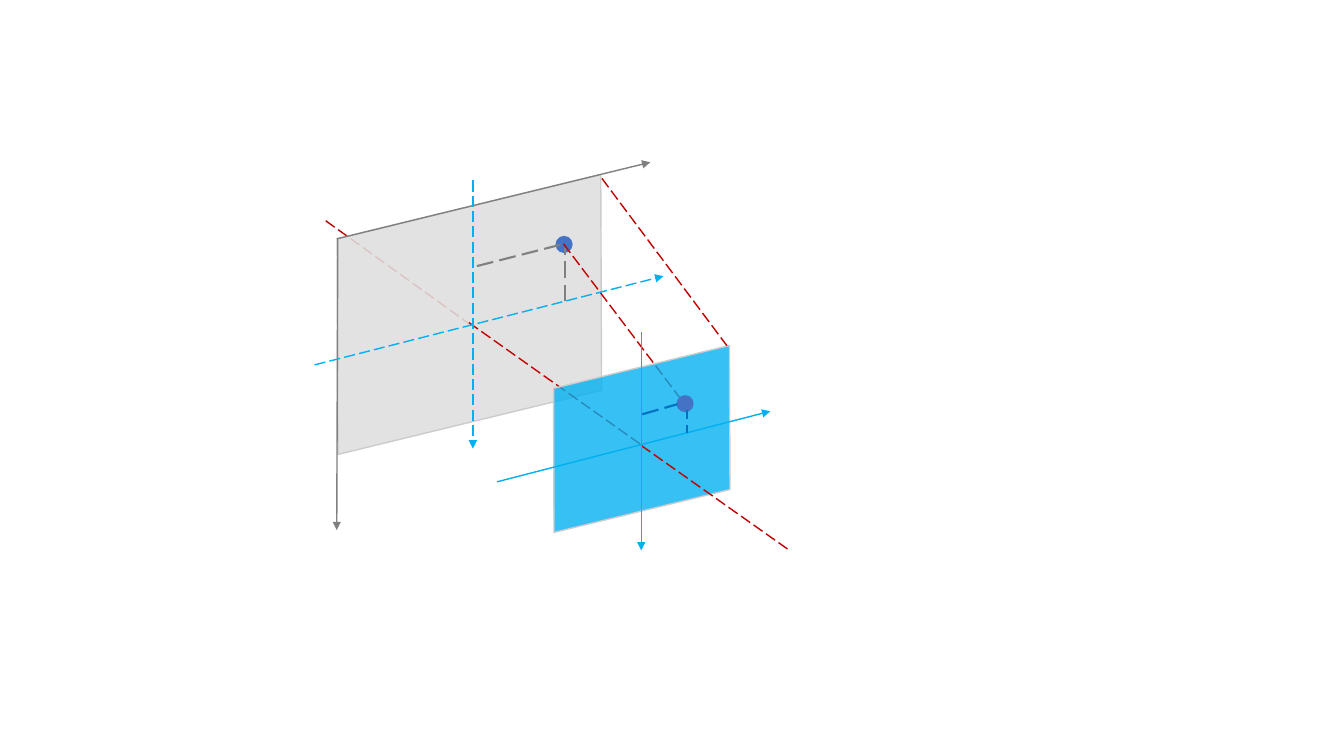
from dataclasses import dataclass

from lxml import etree
from pptx import Presentation
from pptx.dml.color import RGBColor
from pptx.enum.dml import MSO_LINE
from pptx.enum.shapes import MSO_CONNECTOR, MSO_SHAPE
from pptx.oxml.ns import qn
from pptx.util import Inches, Pt

STRAIGHT = MSO_CONNECTOR.STRAIGHT
PARALLELOGRAM, OVAL = MSO_SHAPE.PARALLELOGRAM, MSO_SHAPE.OVAL
LONG_DASH, DASH = MSO_LINE.LONG_DASH, MSO_LINE.DASH

RED = RGBColor(0xC0, 0x00, 0x00)
CYAN = RGBColor(0x00, 0xB0, 0xF0)
BLUE = RGBColor(0x00, 0x70, 0xC0)
GRAY = RGBColor(0x80, 0x80, 0x80)
LIGHT_GRAY = RGBColor(0xDF, 0xDF, 0xDF)
EDGE_GRAY = RGBColor(0xCC, 0xCC, 0xCC)
DOT_BLUE = RGBColor(0x44, 0x72, 0xC4)

PLANE_ROTATION = 166.3
PLANE_SLANT = 0.24  # makes the short sides upright after the rotation
DOT_SIZE = 0.17


@dataclass
class Line:
    start: tuple[float, float]
    end: tuple[float, float]
    color: RGBColor
    width: float = 1
    dash: MSO_LINE | None = None
    arrow: bool = False


@dataclass
class Plane:
    left: float
    top: float
    width: float
    height: float
    color: RGBColor
    opacity: int


@dataclass
class Dot:
    left: float
    top: float


def ray(start: tuple[float, float], end: tuple[float, float]) -> Line:
    return Line(start, end, RED, dash=LONG_DASH)


def axis(start: tuple[float, float], end: tuple[float, float],
         color: RGBColor, dash: MSO_LINE | None = None) -> Line:
    return Line(start, end, color, dash=dash, arrow=True)


def offset(start: tuple[float, float], end: tuple[float, float],
           color: RGBColor, dash: MSO_LINE = LONG_DASH) -> Line:
    """Dashed guide from a coordinate axis to a point."""
    return Line(start, end, color, 1.5, dash)


# Back to front
SCENE: list[Line | Plane | Dot] = [
    ray((3.23, 2.19), (4.65, 3.21)),
    Plane(3.06, 2.08, 3.19, 2.08, LIGHT_GRAY, 88),
    Dot(5.51, 2.34),
    ray((5.59, 2.42), (6.76, 3.97)),
    ray((4.65, 3.2), (6.37, 4.42)),
    Plane(5.3, 3.66, 2.13, 1.39, CYAN, 79),
    ray((6.36, 4.42), (7.83, 5.46)),
    axis((4.93, 4.78), (7.64, 4.08), CYAN),
    axis((6.36, 3.29), (6.36, 5.46), CYAN),
    axis((3.34, 2.37), (6.45, 1.61), GRAY),
    axis((3.35, 2.36), (3.34, 5.26), GRAY),
    Dot(6.71, 3.92),
    axis((3.12, 3.62), (6.58, 2.74), CYAN, LONG_DASH),
    axis((4.69, 1.79), (4.69, 4.45), CYAN, LONG_DASH),
    ray((5.97, 1.77), (7.21, 3.43)),
    offset((4.73, 2.64), (5.59, 2.42), GRAY),
    offset((5.6, 2.99), (5.6, 2.46), GRAY),
    offset((6.37, 4.11), (6.72, 4.01), BLUE),
    offset((6.81, 4.3), (6.81, 4.06), BLUE, DASH),
]


def draw_line(s, line: Line) -> None:
    points = [Inches(v) for v in (*line.start, *line.end)]
    c = s.shapes.add_connector(STRAIGHT, *points)
    c.line.color.rgb = line.color
    formats = {"width": Pt(line.width), "dash_style": line.dash}
    for name, value in formats.items():
        setattr(c.line, name, value)
    sp_pr = c._element.spPr
    if line.arrow:
        etree.SubElement(sp_pr.find(qn("a:ln")), qn("a:tailEnd"), type="triangle")
    etree.SubElement(sp_pr, qn("a:effectLst"))


def draw_plane(s, plane: Plane) -> None:
    box = [Inches(v) for v in (plane.left, plane.top, plane.width, plane.height)]
    sp = s.shapes.add_shape(PARALLELOGRAM, *box)
    sp.shadow.inherit = False
    sp.rotation = PLANE_ROTATION
    sp.adjustments[0] = PLANE_SLANT
    sp.fill.solid()
    sp.fill.fore_color.rgb = plane.color
    color = sp._element.spPr.find(qn("a:solidFill")).find(qn("a:srgbClr"))
    etree.SubElement(color, qn("a:alpha"), val=str(plane.opacity * 1000))
    sp.line.color.rgb = EDGE_GRAY
    sp.line.width = Pt(1)


def draw_dot(s, dot: Dot) -> None:
    box = [Inches(v) for v in (dot.left, dot.top, DOT_SIZE, DOT_SIZE)]
    sp = s.shapes.add_shape(OVAL, *box)
    sp.shadow.inherit = False
    sp.fill.solid()
    sp.fill.fore_color.rgb = DOT_BLUE
    sp.line.fill.background()


def main() -> None:
    prs = Presentation()
    prs.slide_width, prs.slide_height = Inches(13.33), Inches(7.5)
    s = prs.slides.add_slide(prs.slide_layouts[6])
    draw = {Line: draw_line, Plane: draw_plane, Dot: draw_dot}
    for item in SCENE:
        draw[type(item)](s, item)
    prs.save("out.pptx")


if __name__ == "__main__":
    main()
